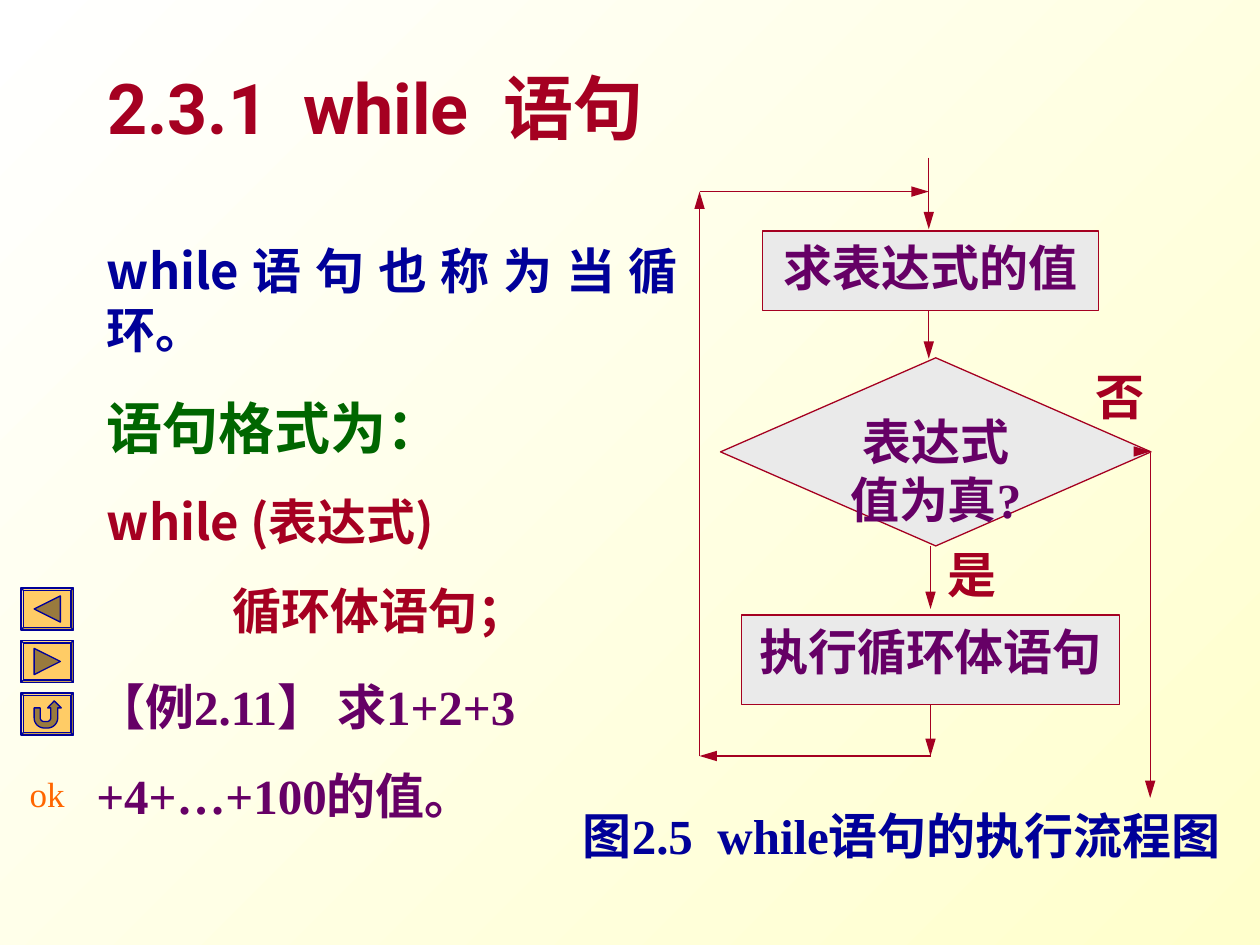
from math import cos, pi, sin

from lxml.etree import SubElement
from pptx import Presentation
from pptx.dml.color import RGBColor
from pptx.enum.shapes import MSO_CONNECTOR, MSO_SHAPE
from pptx.enum.text import MSO_ANCHOR, MSO_AUTO_SIZE, PP_ALIGN
from pptx.oxml.ns import qn
from pptx.util import Pt

WHITE = RGBColor(0xFF, 0xFF, 0xFF)
CREAM = RGBColor(0xFF, 0xFF, 0xCC)
RED = RGBColor(0xA5, 0x00, 0x21)
BLUE = RGBColor(0x00, 0x00, 0x99)
GREEN = RGBColor(0x00, 0x66, 0x00)
PURPLE = RGBColor(0x66, 0x00, 0x66)
ORANGE = RGBColor(0xFF, 0x66, 0x00)
GOLD = RGBColor(0xFF, 0xCC, 0x66)
BROWN = RGBColor(0x99, 0x7A, 0x3D)
GRAY = RGBColor(0xEA, 0xEA, 0xEA)
SERIF, SANS, TITLE_FONT = "Times New Roman", "Noto Sans CJK SC", "Roboto"


def set_tabs_and_punctuation(paragraph):
    """Put tab stops 72 points apart and keep punctuation inside the margin."""
    properties = paragraph._p.get_or_add_pPr()
    properties.set("hangingPunct", "0")
    tabs = SubElement(properties, qn("a:tabLst"))
    for index in range(8):
        tab = SubElement(tabs, qn("a:tab"))
        tab.set("pos", str(Pt(72 * index)))
        tab.set("algn", "l")


def fill_text(shape, lines, inset=(7.2, 3.6), anchor=MSO_ANCHOR.TOP):
    """Write lines of (text, format values) into the shape."""
    frame = shape.text_frame
    horizontal, vertical = (Pt(value) for value in inset)
    frame_format = {
        "word_wrap": True, "auto_size": MSO_AUTO_SIZE.NONE, "vertical_anchor": anchor,
        "margin_left": horizontal, "margin_right": horizontal,
        "margin_top": vertical, "margin_bottom": vertical,
    }
    for name, value in frame_format.items():
        setattr(frame, name, value)
    for index, (text, values) in enumerate(lines):
        paragraph = frame.add_paragraph() if index else frame.paragraphs[0]
        paragraph.alignment = values.get("align", PP_ALIGN.LEFT)
        paragraph.space_before = Pt(values.get("before", 0) if index else 0)
        set_tabs_and_punctuation(paragraph)
        run = paragraph.add_run()
        run.text = text
        font_format = {"name": values.get("font", SERIF), "size": Pt(values.get("size", 28)),
                       "bold": values.get("bold", True)}
        for name, value in font_format.items():
            setattr(run.font, name, value)
        run.font.color.rgb = values["color"]
        SubElement(run.font._element, qn("a:ea")).set("typeface", SANS)


def add_text(slide, box, lines, **options):
    text_box = slide.shapes.add_textbox(*(Pt(value) for value in box))
    fill_text(text_box, lines, **options)


def paint(shape, fill, line):
    shape.shadow.inherit = False
    shape.fill.solid()
    shape.fill.fore_color.rgb = fill
    shape.line.color.rgb = line
    shape.line.width = Pt(0.75)


def add_arrow(slide, start, end):
    points = (Pt(value) for value in (*start, *end))
    arrow = slide.shapes.add_connector(MSO_CONNECTOR.STRAIGHT, *points)
    arrow.line.color.rgb = RED
    arrow.line.width = Pt(0.75)
    tail = SubElement(arrow.line._get_or_add_ln(), qn("a:tailEnd"))
    for name, value in {"type": "triangle", "w": "med", "len": "lg"}.items():
        tail.set(name, value)
    SubElement(arrow._element.spPr, qn("a:effectLst"))


def arc(center, radius, start, end, steps=8):
    angles = [start + (end - start) * step / steps for step in range(steps + 1)]
    return [(center[0] + radius * cos(angle), center[1] + radius * sin(angle))
            for angle in angles]


def add_navigation(slide, left, top):
    """Column of three bevelled buttons with an ok label below."""
    width, height, pitch = 30, 24, 30
    return_icon = ([(7.5, 8.5), (11, 8.5)] + arc((13.1, 14.2), 2.1, pi, pi / 2)
                   + arc((14.9, 14.2), 2.1, pi / 2, 0)
                   + [(17, 8.5), (15.2, 8.5), (19, 4.5), (23, 8.5), (21, 8.5)]
                   + arc((15.2, 14.2), 5.8, 0, pi / 2)
                   + arc((13.3, 14.2), 5.8, pi / 2, pi))
    icons = [
        [(7.5, 12), (22.5, 4.5), (22.5, 19.5)],
        [(7.5, 4.5), (22.5, 12), (7.5, 19.5)],
        return_icon,
    ]
    for index, icon in enumerate(icons):
        button_top = top + index * pitch
        button = slide.shapes.add_shape(
            MSO_SHAPE.BEVEL, Pt(left), Pt(button_top), Pt(width), Pt(height))
        button.adjustments[0] = 0.06
        paint(button, GOLD, BLUE)
        points = [(Pt(left + x), Pt(button_top + y)) for x, y in icon]
        builder = slide.shapes.build_freeform(*points[0])
        builder.add_line_segments(points[1:], close=True)
        paint(builder.convert_to_shape(), BROWN, BLUE)
    add_text(slide, (left - 6, top + 102, 42, 32),
             [("ok", {"size": 20, "color": ORANGE, "bold": False, "align": PP_ALIGN.CENTER})])


def add_title(slide, left, top, width, height):
    title = slide.shapes.title
    box = {"left": left, "top": top, "width": width, "height": height}
    for name, value in box.items():
        setattr(title, name, Pt(value))
    fill_text(title, [("2.3.1  while  语句", {"size": 40, "font": TITLE_FONT, "color": RED})],
              anchor=MSO_ANCHOR.MIDDLE)


def add_explanation(slide, left, top):
    """Syntax of the statement, and the example below it."""
    syntax = {"font": SANS, "color": RED, "before": 17.5}
    justified = {"font": SANS, "align": PP_ALIGN.JUSTIFY}
    add_text(slide, (left, top, 340.5, 202), [
        ("while语句也称为当循环。", {**justified, "color": BLUE}),
        ("语句格式为：", {**justified, "color": GREEN, "size": 32, "before": 20}),
        ("while (表达式)", syntax),
        ("\t循环体语句；", syntax),
    ])
    example = {"color": PURPLE, "before": 17.5}
    add_text(slide, (left - 6, top + 249, 261, 126),
             [("【例2.11】 求1+2+3", example), ("+4+…+100的值。", example)])


def add_flowchart(slide, left, top):
    """Loop chart: steps, arrows, branch labels and caption."""
    center = {"align": PP_ALIGN.CENTER}
    steps = [
        (MSO_SHAPE.RECTANGLE, (36, 42, 192, 45.5), "求表达式的值"),
        (MSO_SHAPE.FLOWCHART_DECISION, (12, 114.5, 246, 107.5), "表达式值为真?"),
        (MSO_SHAPE.RECTANGLE, (24, 261.5, 216, 51), "执行循环体语句"),
    ]
    for kind, (x, y, width, height), text in steps:
        step = slide.shapes.add_shape(kind, Pt(left + x), Pt(top + y), Pt(width), Pt(height))
        paint(step, GRAY, RED)
        fill_text(step, [(text, {**center, "color": PURPLE})])

    loop = [(132, 342), (0, 342), (0, 19.5), (131, 19.5)]
    arrows = [
        ((131, 0), (131, 41)),
        ((131, 88), (131, 115)),
        ((132, 222), (132, 258)),
        ((132, 312.5), (132, 342)),
        *zip(loop, loop[1:]),
        ((252, 168), (258, 168)),
        ((257.5, 169), (257.5, 366)),
    ]
    for start, end in arrows:
        add_arrow(slide, *((left + x, top + y) for x, y in (start, end)))

    for text, x, y in [("是", 141.5, 221), ("否", 226, 119.5)]:
        add_text(slide, (left + x, top + y, 28, 24.5), [(text, {**center, "color": RED})],
                 inset=(0, 0))
    add_text(slide, (left - 79.5, top + 367, 390, 41),
             [("图2.5  while语句的执行流程图", {**center, "color": BLUE})])


def set_background(slide):
    fill = slide.background.fill
    fill.gradient()
    fill.gradient_angle = 315
    for stop, color in zip(fill.gradient_stops, (WHITE, CREAM)):
        stop.color.rgb = color


def main():
    presentation = Presentation()
    presentation.slide_width, presentation.slide_height = Pt(720), Pt(540)
    slide = presentation.slides.add_slide(presentation.slide_layouts[5])
    set_background(slide)
    add_navigation(slide, 12, 336)
    add_title(slide, 54, 32, 351, 57.5)
    add_explanation(slide, 54, 134)
    add_flowchart(slide, 399.75, 90)
    presentation.save("out.pptx")


if __name__ == "__main__":
    main()
